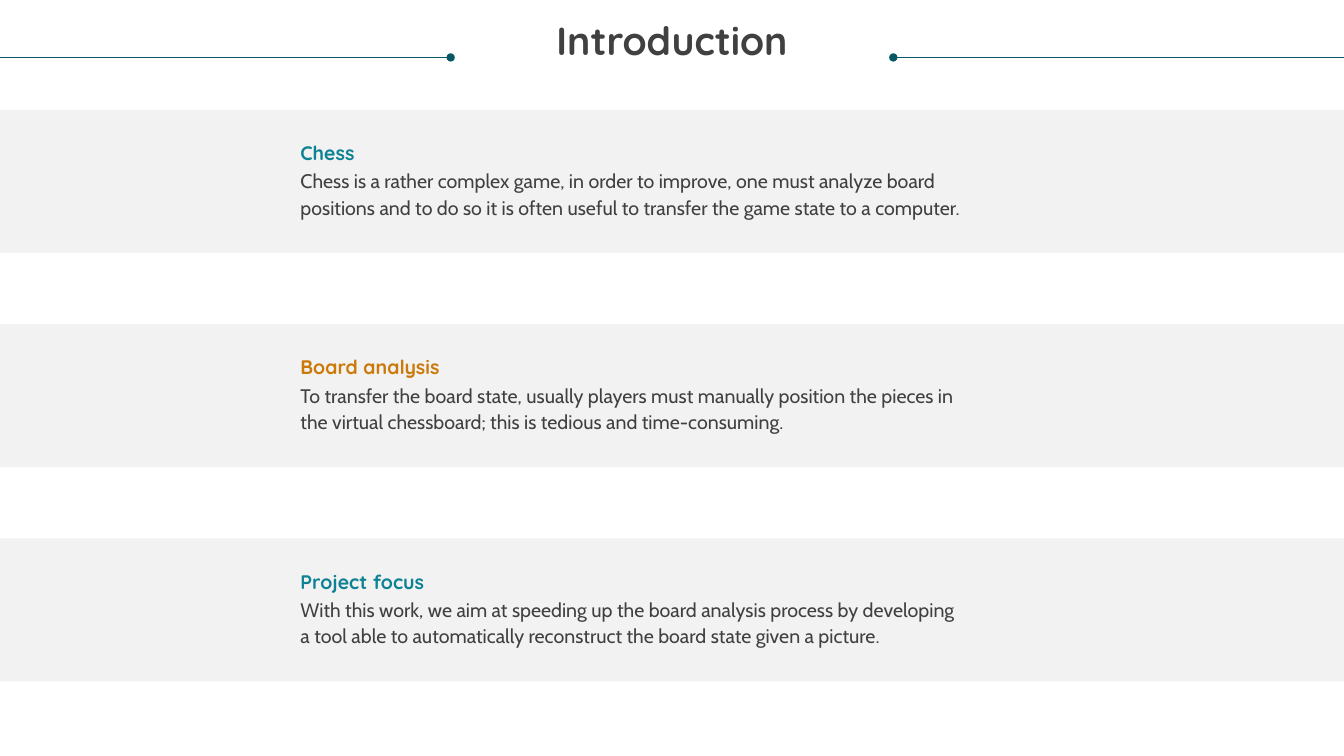
from dataclasses import dataclass

from lxml.etree import SubElement
from pptx import Presentation
from pptx.dml.color import RGBColor
from pptx.enum.shapes import MSO_CONNECTOR as Connector, MSO_SHAPE as Shape
from pptx.enum.text import MSO_ANCHOR as Anchor, MSO_AUTO_SIZE as AutoSize, PP_ALIGN as Align
from pptx.oxml.ns import qn
from pptx.util import Inches, Pt


@dataclass(frozen=True)
class Theme:
    text: str = "404040"
    teal: str = "0D8295"
    orange: str = "CB7A09"
    rule: str = "085764"
    band: str = "F2F2F2"
    heading_font: str = "Quicksand"
    body_font: str = "Cabin"
    title_size: int = 28
    body_size: int = 14
    line_spacing: int = 19


THEME = Theme()
SLIDE_WIDTH, SLIDE_HEIGHT = 13.33, 7.5
RULE_TOP = 0.57
FIRST_BAND_TOP, LAST_BAND_TOP, BAND_HEIGHT = 1.09, 5.34, 1.42
TEXT_LEFT = 2.98

SECTIONS = [
    ("Chess", THEME.teal,
     "Chess is a rather complex game, in order to improve, one must analyze board "
     "positions and to do so it is often useful to transfer the game state to a computer."),
    ("Board analysis", THEME.orange,
     "To transfer the board state, usually players must manually position the pieces in "
     "the virtual chessboard; this is tedious and time-consuming."),
    ("Project focus", THEME.teal,
     "With this work, we aim at speeding up the board analysis process by developing "
     "a tool able to automatically reconstruct the board state given a picture."),
]


def write_text(shape, text, *, font, size, color, spacing, bold=False, align=Align.LEFT):
    frame = shape.text_frame
    frame.margin_left = frame.margin_right = frame.margin_top = frame.margin_bottom = 0
    frame.word_wrap = True
    frame.auto_size = AutoSize.SHAPE_TO_FIT_TEXT
    frame.vertical_anchor = Anchor.TOP
    paragraph = frame.paragraphs[0]
    paragraph.alignment = align
    paragraph.line_spacing = spacing
    run = paragraph.add_run()
    run.text = text
    run.font.name = font
    run.font.size = Pt(size)
    run.font.bold = bold
    run.font.color.rgb = RGBColor.from_string(color)


def add_title(slide, text):
    title = slide.shapes.title
    title.left, title.top = Inches(0.25), Inches(0.21)
    title.width, title.height = Inches(12.83), Inches(0.42)
    write_text(title, text, font=THEME.heading_font, size=THEME.title_size,
               color=THEME.text, spacing=0.9, bold=True, align=Align.CENTER)


def add_rule(slide, start, end, dot_end):
    rule = slide.shapes.add_connector(
        Connector.STRAIGHT, Inches(start), Inches(RULE_TOP), Inches(end), Inches(RULE_TOP))
    rule.line.color.rgb = RGBColor.from_string(THEME.rule)
    rule.line.width = Pt(0.5)
    properties = rule._element.spPr
    SubElement(properties.find(qn("a:ln")), qn(dot_end), type="oval")
    SubElement(properties, qn("a:effectLst"))


def add_band(slide, top):
    band = slide.shapes.add_shape(
        Shape.RECTANGLE, 0, Inches(top), Inches(SLIDE_WIDTH), Inches(BAND_HEIGHT))
    band.shadow.inherit = False
    band.fill.solid()
    band.fill.fore_color.rgb = RGBColor.from_string(THEME.band)
    band.line.fill.background()


def add_label(slide, text, top, width, height, **text_format):
    label = slide.shapes.add_textbox(
        Inches(TEXT_LEFT), Inches(top), Inches(width), Inches(height))
    write_text(label, text, size=THEME.body_size,
               spacing=Pt(THEME.line_spacing), **text_format)


def add_section(slide, top, heading, color, body):
    add_band(slide, top)
    add_label(slide, heading, top + 0.28, 3, 0.24,
              font=THEME.heading_font, color=color, bold=True)
    add_label(slide, body, top + 0.56, 6.57, 0.51,
              font=THEME.body_font, color=THEME.text)


def main():
    presentation = Presentation()
    presentation.slide_width = Inches(SLIDE_WIDTH)
    presentation.slide_height = Inches(SLIDE_HEIGHT)
    slide = presentation.slides.add_slide(presentation.slide_layouts.get_by_name("Title Only"))
    add_title(slide, "Introduction")
    add_rule(slide, 0, 4.47, "a:tailEnd")
    add_rule(slide, 8.86, SLIDE_WIDTH, "a:headEnd")
    pitch = (LAST_BAND_TOP - FIRST_BAND_TOP) / (len(SECTIONS) - 1)
    for index, section in enumerate(SECTIONS):
        add_section(slide, FIRST_BAND_TOP + index * pitch, *section)
    presentation.save("out.pptx")


if __name__ == "__main__":
    main()
